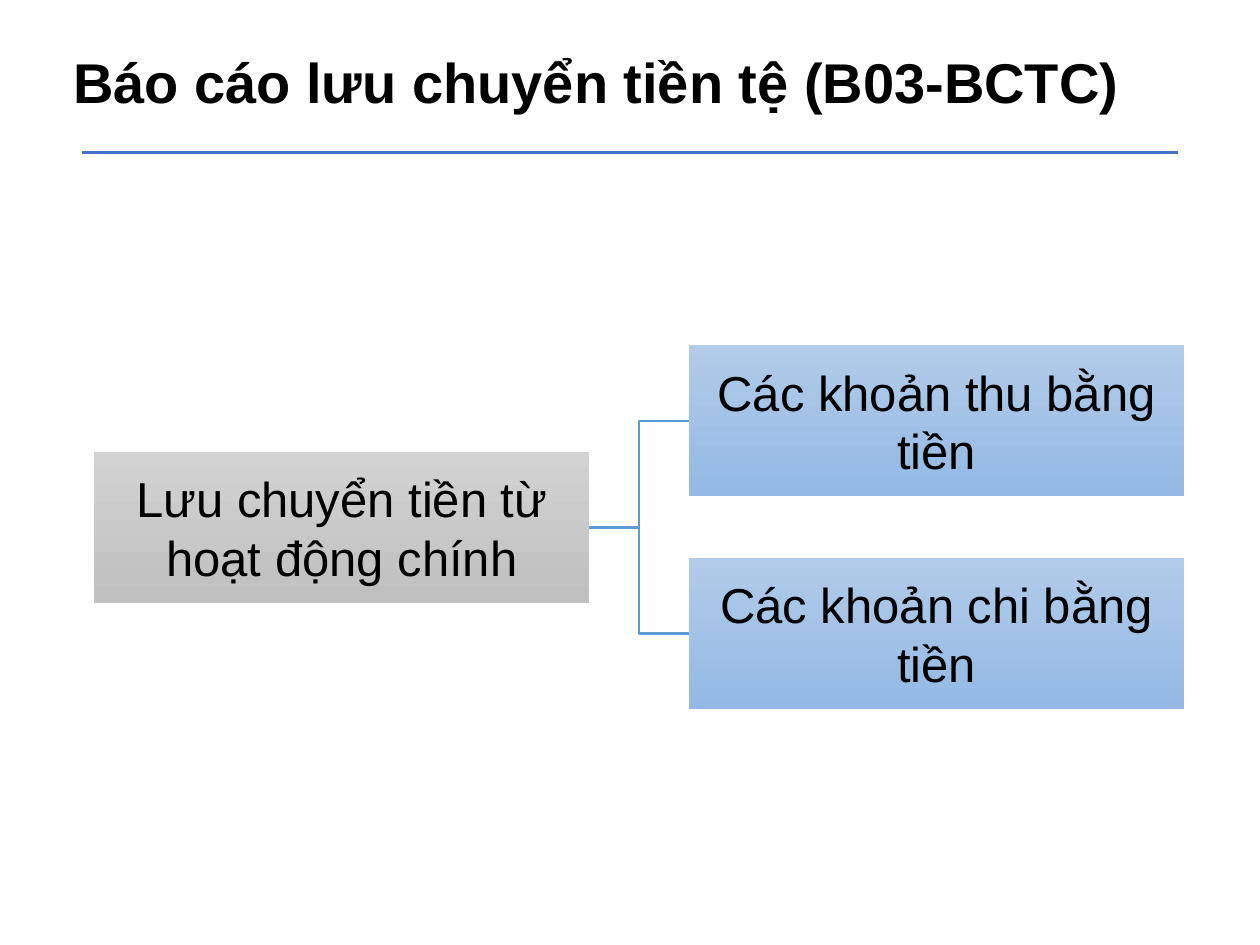
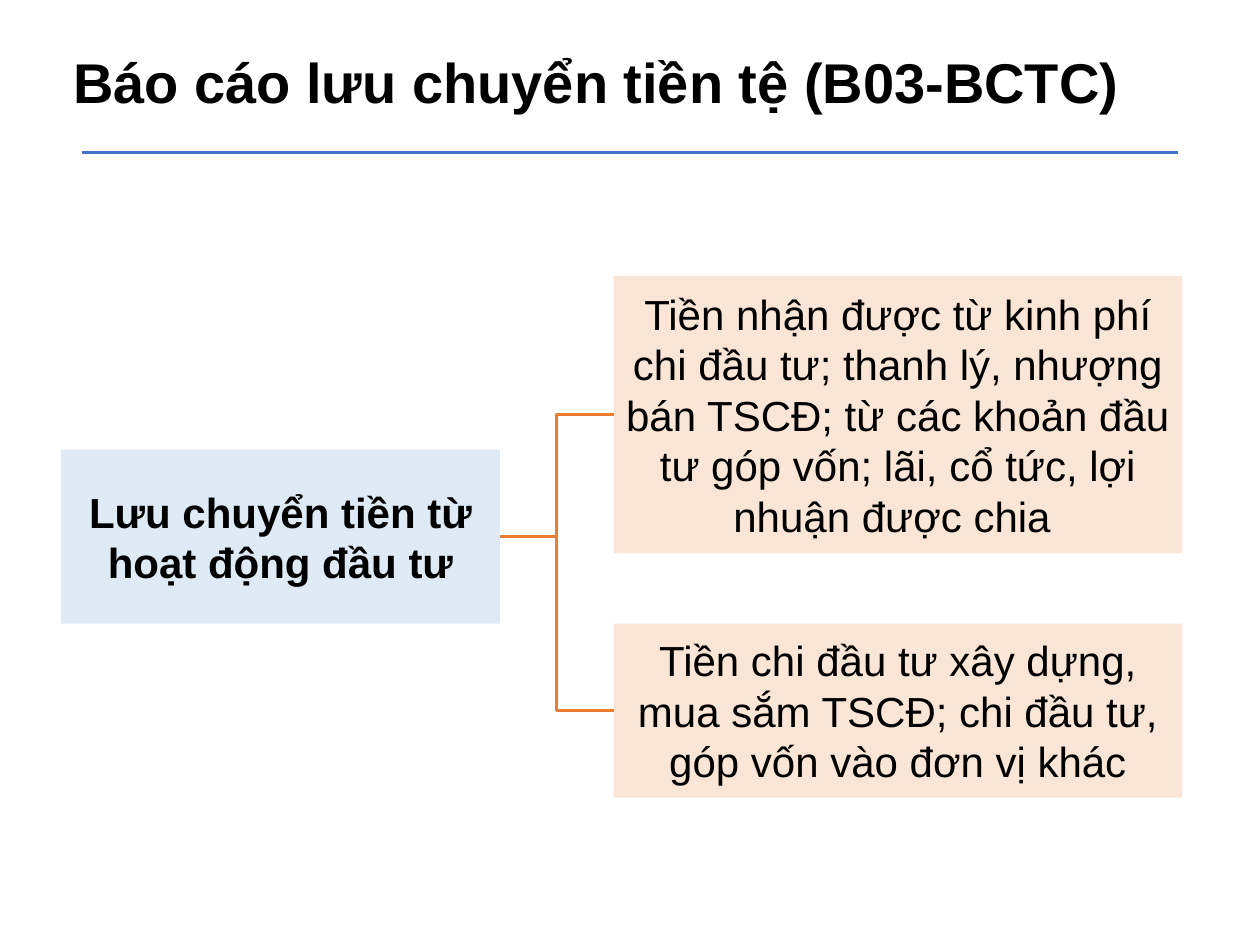
from dataclasses import dataclass

import pptx
import pptx.dml.color
import pptx.enum.shapes
import pptx.enum.text
import pptx.util
from lxml import etree
from pptx.oxml.ns import qn

Cm = pptx.util.Cm
Pt = pptx.util.Pt

COLORS = {
    "text": "000000",
    "rule": "4472C4",
    "blue_line": "5B9BD5",
    "orange_line": "ED7D31",
    "gray_top": "D2D2D2",
    "gray_bottom": "C0C0C0",
    "blue_top": "B1CBE9",
    "blue_bottom": "93B9E4",
    "pale_blue": "DEEBF7",
    "pale_orange": "FBE5D6",
}
FONT = "Arial"
TITLE = "Báo cáo lưu chuyển tiền tệ (B03-BCTC)"
TITLE_BOX = (1.22, 0.84, 21.97, 1.63)
RULE = (1.65, 3.07, 23.75, 3.07)


@dataclass
class TreeStyle:
    root_width: float
    root_height: float
    branch_width: float
    size: int
    root_bold: bool
    root_fill: tuple
    branch_fill: tuple
    line: str


def rgb(name):
    return pptx.dml.color.RGBColor.from_string(COLORS[name])


def format_text(paragraph, size, bold, alignment):
    paragraph.alignment = alignment
    font = paragraph.font
    font.name = FONT
    font.size = Pt(size)
    font.bold = bold
    font.color.rgb = rgb("text")


def style_line(connector, color):
    connector.line.color.rgb = rgb(color)
    connector.line.width = Pt(1.5)
    properties = connector.element.find(qn("p:spPr"))
    etree.SubElement(properties, qn("a:effectLst"))


def add_title(slide):
    title = slide.shapes.title
    title.left, title.top, title.width, title.height = map(Cm, TITLE_BOX)
    frame = title.text_frame
    frame.text = TITLE
    frame.word_wrap = True
    frame.auto_size = pptx.enum.text.MSO_AUTO_SIZE.SHAPE_TO_FIT_TEXT
    frame.vertical_anchor = pptx.enum.text.MSO_ANCHOR.TOP
    format_text(frame.paragraphs[0], 32, True, pptx.enum.text.PP_ALIGN.JUSTIFY)


def add_layout_rule(slide):
    rule = slide.shapes.add_connector(
        pptx.enum.shapes.MSO_CONNECTOR.STRAIGHT, *map(Cm, RULE))
    style_line(rule, "rule")
    slide.slide_layout.shapes.element.append(rule.element)


def fill_node(node, colors):
    if len(colors) == 1:
        node.fill.solid()
        node.fill.fore_color.rgb = rgb(colors[0])
        return
    node.fill.gradient()
    node.fill.gradient_angle = 270
    for stop, color in zip(node.fill.gradient_stops, colors):
        stop.color.rgb = rgb(color)


def add_node(slide, box, text, size, bold, colors):
    node = slide.shapes.add_shape(
        pptx.enum.shapes.MSO_SHAPE.RECTANGLE, *map(Cm, box))
    node.shadow.inherit = False
    node.line.fill.background()
    fill_node(node, colors)
    frame = node.text_frame
    frame.text = text
    frame.word_wrap = True
    frame.vertical_anchor = pptx.enum.text.MSO_ANCHOR.MIDDLE
    frame.margin_left = frame.margin_right = Cm(0.05)
    frame.margin_top = frame.margin_bottom = Cm(0.05)
    format_text(frame.paragraphs[0], size, bold, pptx.enum.text.PP_ALIGN.CENTER)
    return node


def connect(slide, root, branch, color):
    elbow = slide.shapes.add_connector(
        pptx.enum.shapes.MSO_CONNECTOR.ELBOW, 0, 0, 0, 0)
    elbow.begin_connect(root, 3)
    elbow.end_connect(branch, 1)
    style_line(elbow, color)


def add_tree(slide, box, root_text, branches, style):
    left, top, width, height = box
    root_top = top + (height - style.root_height) / 2
    root = add_node(
        slide, (left, root_top, style.root_width, style.root_height),
        root_text, style.size, style.root_bold, style.root_fill)

    branch_left = left + width - style.branch_width
    used = sum(branch_height for _, branch_height in branches)
    gap = (height - used) / (len(branches) - 1)
    branch_top = top
    for text, branch_height in branches:
        branch = add_node(
            slide, (branch_left, branch_top, style.branch_width, branch_height),
            text, style.size, False, style.branch_fill)
        connect(slide, root, branch, style.line)
        branch_top += branch_height + gap


def add_cash_flow_slide(deck, box, root_text, branches, style):
    slide = deck.slides.add_slide(deck.slide_layouts[5])
    add_title(slide)
    add_tree(slide, box, root_text, branches, style)
    return slide


def main():
    deck = pptx.Presentation()
    deck.slide_width = Cm(25.4)
    deck.slide_height = Cm(19.05)

    main_activity = add_cash_flow_slide(
        deck, (1.9, 6.96, 21.97, 7.34),
        "Lưu chuyển tiền từ hoạt động chính",
        [("Các khoản thu bằng tiền", 3.05), ("Các khoản chi bằng tiền", 3.05)],
        TreeStyle(9.98, 3.05, 9.98, 28, False, ("gray_top", "gray_bottom"),
                  ("blue_top", "blue_bottom"), "blue_line"))
    add_layout_rule(main_activity)

    add_cash_flow_slide(
        deck, (1.23, 5.56, 22.6, 10.52),
        "Lưu chuyển tiền từ hoạt động đầu tư",
        [("Tiền nhận được từ kinh phí chi đầu tư; thanh lý, nhượng bán TSCĐ; "
          "từ các khoản đầu tư góp vốn; lãi, cổ tức, lợi nhuận được chia ", 5.59),
         ("Tiền chi đầu tư xây dựng, mua sắm TSCĐ; chi đầu tư, "
          "góp vốn vào đơn vị khác", 3.51)],
        TreeStyle(8.85, 3.51, 11.46, 24, True, ("pale_blue",),
                  ("pale_orange",), "orange_line"))

    deck.save("out.pptx")


if __name__ == "__main__":
    main()
